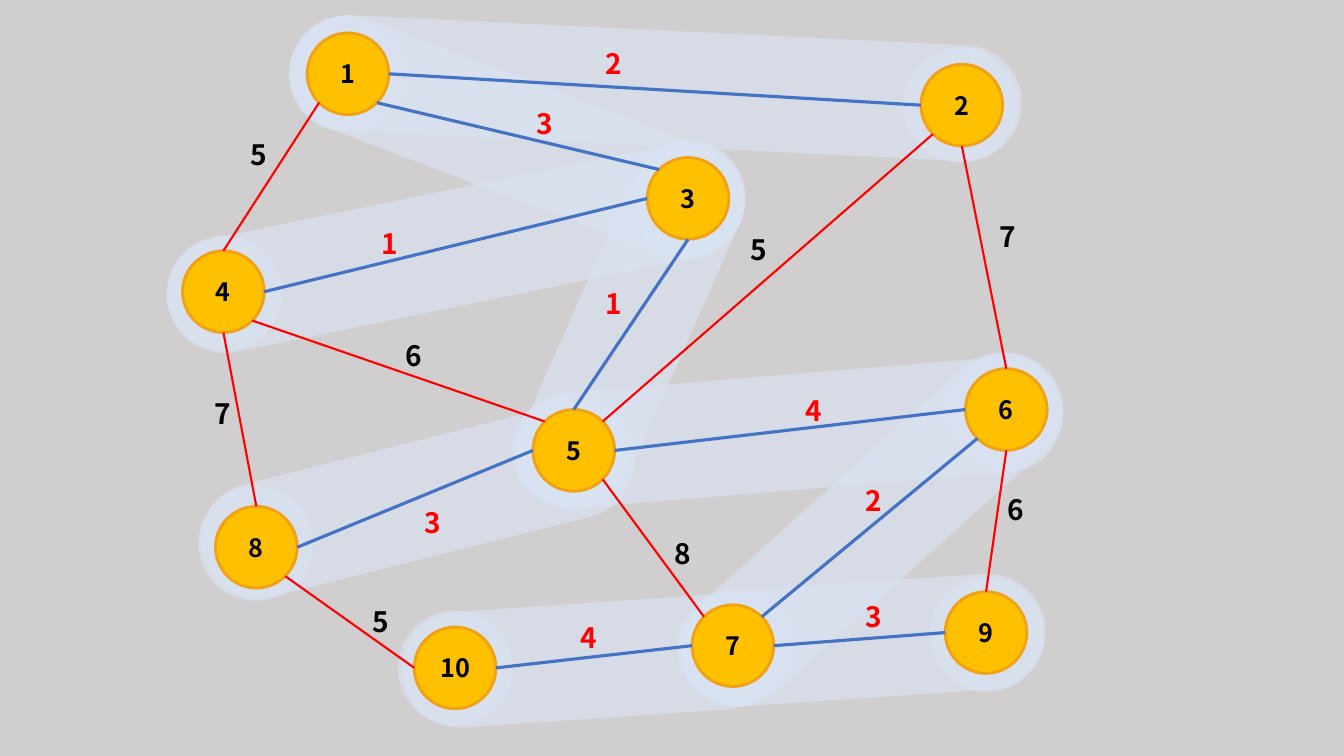
from dataclasses import dataclass
from math import cos, radians, sin

from lxml.etree import SubElement
from pptx import Presentation
from pptx.dml.color import RGBColor
from pptx.enum.shapes import MSO_CONNECTOR, MSO_SHAPE
from pptx.enum.text import MSO_ANCHOR, PP_ALIGN
from pptx.oxml.ns import qn
from pptx.shapes.autoshape import Shape
from pptx.slide import Slide
from pptx.text.text import TextFrame
from pptx.util import Cm, Pt

FONT = "Noto Sans CJK KR"
GREY, PALE, GOLD, RIM = "D0CECE", "DAE3F3", "FFC000", "F1A116"
RED, BLUE, BLACK = "FF0000", "4472C4", "000000"
DISC = 2.06
HALO = 2.9
BREADTH = 2.92
TOP, TOP_LEFT, LEFT, LOW_LEFT, LOW, LOW_RIGHT, RIGHT, TOP_RIGHT = range(8)


@dataclass(frozen=True)
class Node:
    x: float
    y: float
    halo_x: float
    halo_y: float

    def site(self, side: int) -> tuple[Cm, Cm]:
        angle = radians(90 + 45 * side)
        return (Cm(self.x + DISC / 2 * cos(angle)),
                Cm(self.y - DISC / 2 * sin(angle)))


@dataclass(frozen=True)
class Band:
    x: float
    y: float
    length: float
    turn: float


@dataclass(frozen=True)
class Edge:
    start: int
    start_side: int
    end: int
    end_side: int
    weight: int
    x: float
    y: float
    in_tree: bool = False


NODES = {
    1: Node(8.77, 1.86, 8.74, 1.88),
    2: Node(24.24, 2.65, 24.21, 2.64),
    3: Node(17.34, 5, 17.3, 5.05),
    4: Node(5.63, 7.35, 5.66, 7.39),
    5: Node(14.46, 11.35, 14.45, 11.35),
    6: Node(25.36, 10.32, 25.35, 10.34),
    7: Node(18.47, 16.27, 18.52, 16.31),
    8: Node(6.46, 13.79, 6.45, 13.69),
    9: Node(24.85, 15.94, 24.87, 15.98),
    10: Node(11.47, 16.83, 11.48, 16.84),
}

BANDS = [
    Band(14.87, 16.65, 9.47, 266.1),
    Band(21.76, 16.13, 9.19, 266.1),
    Band(21.91, 13.35, 11.91, 228),
    Band(19.85, 10.9, 13.92, 265.3),
    Band(10.53, 12.61, 11.2, 255.9),
    Band(11.49, 6.24, 14.81, 258.4),
    Band(15.91, 8.19, 9.93, 203.9),
    Band(13.02, 3.47, 12.07, 290.8),
    Band(16.55, 2.22, 18.42, 272.8),
]

EDGES = [
    Edge(4, TOP, 1, LOW_LEFT, 5, 6.07, 3.35),
    Edge(3, TOP_LEFT, 1, LOW_RIGHT, 3, 13.26, 2.57, True),
    Edge(2, LEFT, 1, RIGHT, 2, 15.01, 1.04, True),
    Edge(2, LOW, 6, TOP, 7, 24.94, 5.41),
    Edge(2, LOW_LEFT, 5, TOP_RIGHT, 5, 18.67, 5.74),
    Edge(3, LOW, 5, TOP, 1, 15.01, 7.09, True),
    Edge(3, LEFT, 4, RIGHT, 1, 9.37, 5.59, True),
    Edge(4, LOW, 8, TOP, 7, 5.16, 9.86),
    Edge(5, LEFT, 8, RIGHT, 3, 10.44, 12.62, True),
    Edge(5, TOP_LEFT, 4, LOW_RIGHT, 6, 9.96, 8.41),
    Edge(5, LOW_RIGHT, 7, TOP_LEFT, 8, 16.76, 13.39),
    Edge(6, LEFT, 5, RIGHT, 4, 20.04, 9.78, True),
    Edge(9, TOP, 6, LOW, 6, 25.15, 12.29),
    Edge(6, LOW_LEFT, 7, TOP_RIGHT, 2, 21.56, 12.07, True),
    Edge(10, RIGHT, 7, LEFT, 4, 14.38, 15.52, True),
    Edge(10, LEFT, 8, LOW_RIGHT, 5, 9.14, 15.11),
    Edge(9, LEFT, 7, RIGHT, 3, 21.56, 14.99, True),
]


def color(code: str) -> RGBColor:
    return RGBColor.from_string(code)


def write(frame: TextFrame, number: int, size: int, code: str) -> None:
    frame.text = str(number)
    font = frame.paragraphs[0].runs[0].font
    font.name = FONT
    font.size = Pt(size)
    font.bold = True
    font.color.rgb = color(code)


def add_shape(slide: Slide, kind: MSO_SHAPE, x: float, y: float,
              width: float, height: float, code: str) -> Shape:
    shape = slide.shapes.add_shape(kind, Cm(x - width / 2), Cm(y - height / 2),
                                   Cm(width), Cm(height))
    shape.shadow.inherit = False
    shape.fill.solid()
    shape.fill.fore_color.rgb = color(code)
    return shape


def soften(shape: Shape) -> None:
    shape.line.fill.background()
    tint = shape.element.spPr.find(f"{qn('a:solidFill')}/{qn('a:srgbClr')}")
    SubElement(tint, qn("a:alpha"), val="63000")


def draw_band(slide: Slide, band: Band) -> None:
    shape = add_shape(slide, MSO_SHAPE.ROUNDED_RECTANGLE, band.x, band.y,
                      BREADTH, band.length, PALE)
    shape.adjustments[0] = 0.5
    shape.rotation = band.turn
    soften(shape)


def draw_halo(slide: Slide, node: Node) -> None:
    soften(add_shape(slide, MSO_SHAPE.OVAL, node.halo_x, node.halo_y,
                     HALO, HALO, PALE))


def draw_node(slide: Slide, number: int, node: Node) -> None:
    disc = add_shape(slide, MSO_SHAPE.OVAL, node.x, node.y, DISC, DISC, GOLD)
    disc.line.color.rgb = color(RIM)
    disc.line.width = Pt(2)
    frame = disc.text_frame
    write(frame, number, 18, BLACK)
    frame.vertical_anchor = MSO_ANCHOR.MIDDLE
    frame.paragraphs[0].alignment = PP_ALIGN.CENTER


def draw_edge(slide: Slide, edge: Edge) -> None:
    line = slide.shapes.add_connector(
        MSO_CONNECTOR.STRAIGHT,
        *NODES[edge.start].site(edge.start_side),
        *NODES[edge.end].site(edge.end_side))
    line.line.color.rgb = color(BLUE if edge.in_tree else RED)
    line.line.width = Pt(2.25 if edge.in_tree else 1.5)
    SubElement(line.element.spPr, qn("a:effectLst"))
    label = slide.shapes.add_textbox(Cm(edge.x), Cm(edge.y), Cm(0.91), Cm(1.12))
    label.text_frame.word_wrap = False
    write(label.text_frame, edge.weight, 20, RED if edge.in_tree else BLACK)


def main() -> None:
    deck = Presentation()
    deck.slide_width, deck.slide_height = Cm(33.87), Cm(19.05)
    slide = deck.slides.add_slide(deck.slide_layouts[6])
    slide.background.fill.solid()
    slide.background.fill.fore_color.rgb = color(GREY)
    for band in BANDS:
        draw_band(slide, band)
    for node in NODES.values():
        draw_halo(slide, node)
    for number, node in NODES.items():
        draw_node(slide, number, node)
    for edge in EDGES:
        draw_edge(slide, edge)
    deck.save("out.pptx")


if __name__ == "__main__":
    main()
